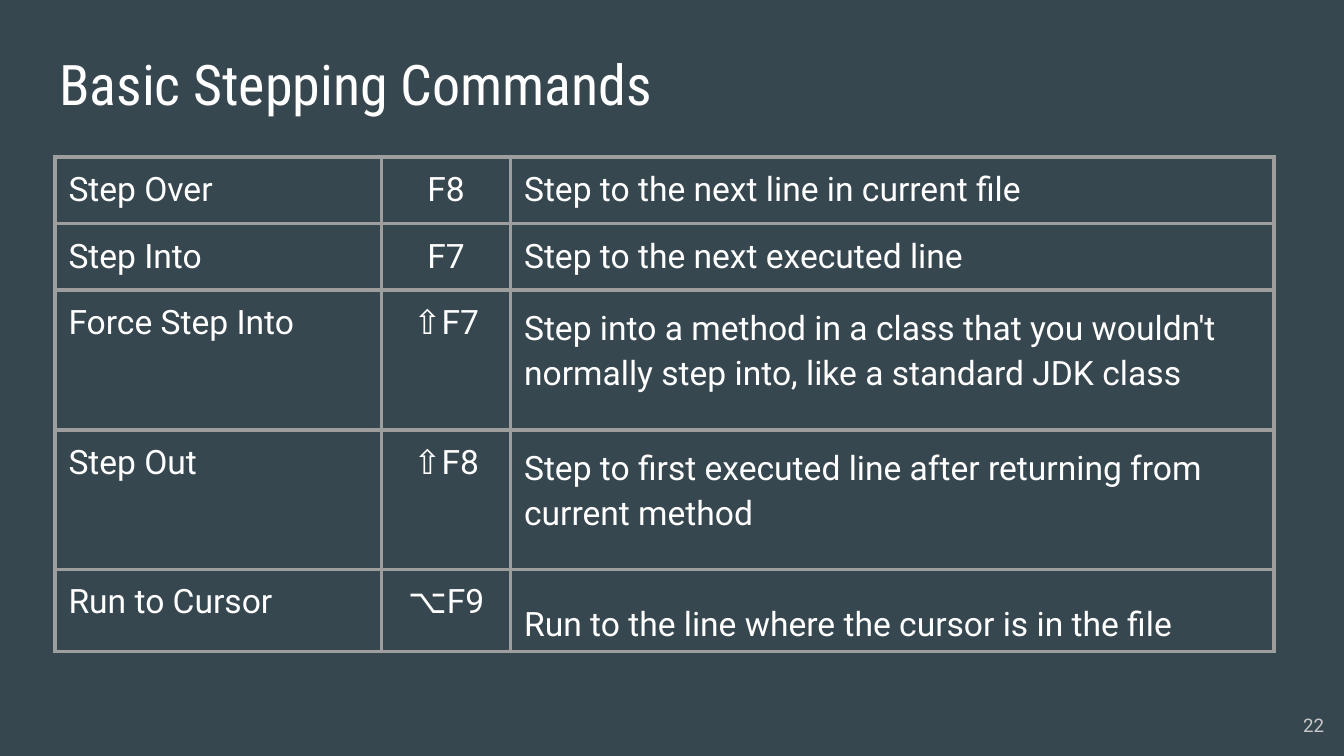
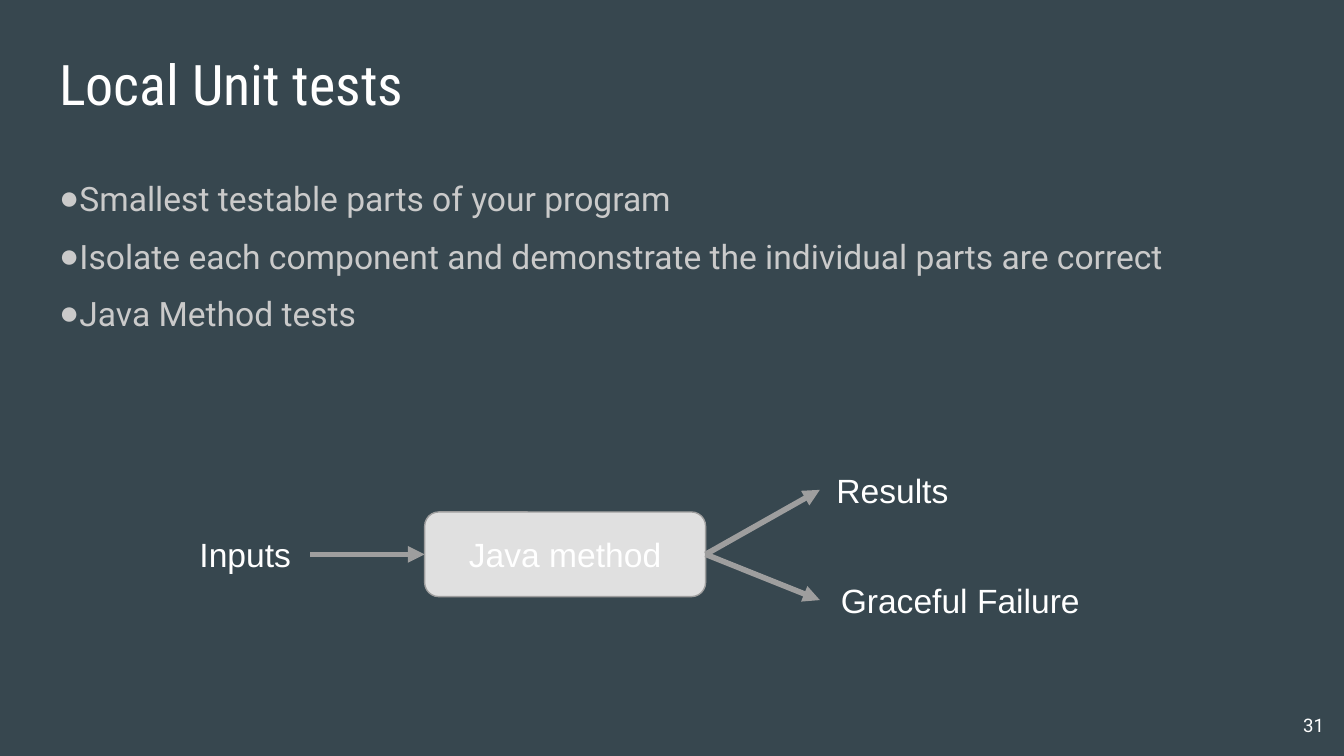
from dataclasses import dataclass
from typing import Optional

import pptx
import pptx.dml.color
import pptx.enum.shapes
import pptx.enum.text
import pptx.oxml
import pptx.oxml.ns
import pptx.util

RGBColor = pptx.dml.color.RGBColor
ALIGN = pptx.enum.text.PP_ALIGN
ANCHOR = pptx.enum.text.MSO_ANCHOR

SLATE = RGBColor(0x37, 0x47, 0x4F)
WHITE = RGBColor(0xFF, 0xFF, 0xFF)
SILVER = RGBColor(0xCA, 0xCA, 0xCA)
GREY = RGBColor(0x9E, 0x9E, 0x9E)
PALE = RGBColor(0xE0, 0xE0, 0xE0)

COLUMNS, ROWS = 100, 56.25
CELL = pptx.util.Inches(0.1)
LEFT_COLUMN = 3.4
LEFT_SITE, RIGHT_SITE = 1, 3


@dataclass(frozen=True)
class Box:
    column: float
    row: float
    columns: float
    rows: float

    def lengths(self) -> tuple:
        return tuple(grid(n) for n in (self.column, self.row, self.columns, self.rows))


@dataclass(frozen=True)
class TextStyle:
    font: str
    size: float
    color: RGBColor
    align: ALIGN = ALIGN.LEFT
    spacing: Optional[float] = None
    after: float = 0


@dataclass(frozen=True)
class Command:
    name: str
    key: str
    effect: str
    rows: float
    spacing: Optional[float] = None


TITLE = TextStyle("Roboto Condensed", 30, WHITE, spacing=1.15)
BULLET = TextStyle("Roboto", 18, SILVER, ALIGN.JUSTIFY, 1.15, 6)
LABEL = TextStyle("Arial", 18, WHITE, ALIGN.CENTER)

COMMAND_COLUMNS = (24.3, 9.6, 56.8)
COMMANDS = (
    Command("Step Over", "F8", "Step to the next line in current file", 4.8),
    Command("Step Into", "F7", "Step to the next executed line", 4.8),
    Command("Force Step Into", "⇧F7",
            "Step into a method in a class that you wouldn't normally step into, "
            "like a standard JDK class", 10.4, 1.15),
    Command("Step Out", "⇧F8",
            "Step to first executed line after returning from current method", 10.4, 1.15),
    Command("Run to Cursor", "⌥F9",
            "Run to the line where the cursor is in the file", 6, 1.57),
)
TEST_POINTS = (
    "Smallest testable parts of your program",
    "Isolate each component and demonstrate the individual parts are correct",
    "Java Method tests",
)


def grid(count: float) -> int:
    return round(CELL * count)


def place(shape, box: Box) -> None:
    shape.left, shape.top, shape.width, shape.height = box.lengths()


def format_paragraph(paragraph, style: TextStyle) -> None:
    paragraph.alignment = style.align
    paragraph.space_before = pptx.util.Pt(0)
    paragraph.space_after = pptx.util.Pt(style.after)
    if style.spacing:
        paragraph.line_spacing = style.spacing
    for run in paragraph.runs:
        run.font.name = style.font
        run.font.size = pptx.util.Pt(style.size)
        run.font.color.rgb = style.color


def write(shape, text: str, style: TextStyle, anchor: ANCHOR) -> None:
    frame = shape.text_frame
    frame.text = text
    frame.word_wrap = True
    frame.auto_size = pptx.enum.text.MSO_AUTO_SIZE.NONE
    frame.vertical_anchor = anchor
    frame.margin_left = frame.margin_right = CELL
    frame.margin_top = frame.margin_bottom = CELL
    for paragraph in frame.paragraphs:
        format_paragraph(paragraph, style)


def add_text(slide, box: Box, text: str, style: TextStyle):
    shape = slide.shapes.add_textbox(*box.lengths())
    write(shape, text, style, ANCHOR.MIDDLE)
    return shape


def add_slide(presentation, layout: int, title: str, title_columns: float,
              number: int, number_color: RGBColor):
    slide = presentation.slides.add_slide(presentation.slide_layouts[layout])
    place(slide.shapes.title, Box(LEFT_COLUMN, 1.9, title_columns, 6.3))
    write(slide.shapes.title, title, TITLE, ANCHOR.TOP)
    add_text(slide, Box(93.5, 51.8, 6, 4.3), str(number),
             TextStyle("Roboto", 10, number_color, ALIGN.RIGHT))
    return slide


def add_bullet(paragraph, color: RGBColor) -> None:
    properties = paragraph._p.get_or_add_pPr()
    properties.set("marL", "0")
    properties.set("indent", str(-grid(3.1)))
    namespace = pptx.oxml.ns.nsdecls("a")
    for xml in (f'<a:buClr {namespace}><a:srgbClr val="{color}"/></a:buClr>',
                f'<a:buChar {namespace} char="●"/>'):
        properties.append(pptx.oxml.parse_xml(xml))


def add_borders(cell, color: RGBColor, points: float) -> None:
    properties = cell._tc.get_or_add_tcPr()
    for side in "LRTB":
        properties.append(pptx.oxml.parse_xml(
            f'<a:ln{side} {pptx.oxml.ns.nsdecls("a")} w="{pptx.util.Pt(points)}">'
            f'<a:solidFill><a:srgbClr val="{color}"/></a:solidFill></a:ln{side}>'))


def add_command_table(slide) -> None:
    box = Box(4.1, 11.7, sum(COMMAND_COLUMNS), sum(c.rows for c in COMMANDS))
    table = slide.shapes.add_table(
        len(COMMANDS), len(COMMAND_COLUMNS), *box.lengths()).table
    table.first_row = table.horz_banding = False
    for column, columns in zip(table.columns, COMMAND_COLUMNS):
        column.width = grid(columns)
    for row, command in zip(table.rows, COMMANDS):
        row.height = grid(command.rows)
        contents = (
            (command.name, ALIGN.LEFT, None),
            (command.key, ALIGN.CENTER, None),
            (command.effect, ALIGN.LEFT, command.spacing),
        )
        for cell, (text, align, spacing) in zip(row.cells, contents):
            cell.text_frame.text = text
            cell.margin_left = cell.margin_right = cell.margin_top = CELL
            cell.margin_bottom = grid(0.5) if spacing else CELL
            format_paragraph(cell.text_frame.paragraphs[0],
                             TextStyle("Roboto", 18, WHITE, align, spacing))
            add_borders(cell, GREY, 2.25)
            cell.fill.background()


def add_arrow(slide, source, target) -> None:
    connector = slide.shapes.add_connector(
        pptx.enum.shapes.MSO_CONNECTOR.STRAIGHT, 0, 0, 0, 0)
    connector.begin_connect(source, RIGHT_SITE)
    connector.end_connect(target, LEFT_SITE)
    connector.line.color.rgb = GREY
    connector.line.width = pptx.util.Pt(3)
    namespace = pptx.oxml.ns.nsdecls("a")
    connector.line._get_or_add_ln().append(
        pptx.oxml.parse_xml(f'<a:tailEnd {namespace} type="triangle"/>'))
    connector._element.spPr.append(pptx.oxml.parse_xml(f"<a:effectLst {namespace}/>"))


def add_test_flow(slide) -> None:
    method = slide.shapes.add_shape(
        pptx.enum.shapes.MSO_SHAPE.ROUNDED_RECTANGLE, *Box(31.6, 38.1, 20.9, 6.3).lengths())
    method.shadow.inherit = False
    method.fill.solid()
    method.fill.fore_color.rgb = PALE
    method.line.color.rgb = GREY
    method.line.width = pptx.util.Pt(0.75)
    write(method, "Java method", LABEL, ANCHOR.MIDDLE)
    inputs = add_text(slide, Box(13.4, 38.1, 9.7, 6.3), "Inputs", LABEL)
    results = add_text(slide, Box(61, 33.3, 10.8, 6.3), "Results", LABEL)
    failure = add_text(slide, Box(61, 41.5, 20.9, 6.3), "Graceful Failure", LABEL)
    for source, target in ((inputs, method), (method, results), (method, failure)):
        add_arrow(slide, source, target)


def build_stepping_slide(presentation) -> None:
    slide = add_slide(presentation, 5, "Basic Stepping Commands", 94.7, 22, SILVER)
    add_command_table(slide)


def build_unit_test_slide(presentation) -> None:
    slide = add_slide(presentation, 1, "Local Unit tests", 93.2, 31, WHITE)
    body = slide.placeholders[1]
    place(body, Box(LEFT_COLUMN, 11.8, 93.2, 37.4))
    write(body, "\n".join(TEST_POINTS), BULLET, ANCHOR.TOP)
    for paragraph in body.text_frame.paragraphs:
        add_bullet(paragraph, SILVER)
    add_test_flow(slide)


def main() -> None:
    presentation = pptx.Presentation()
    presentation.slide_width = grid(COLUMNS)
    presentation.slide_height = grid(ROWS)
    background = presentation.slide_master.background.fill
    background.solid()
    background.fore_color.rgb = SLATE
    build_stepping_slide(presentation)
    build_unit_test_slide(presentation)
    presentation.save("out.pptx")


if __name__ == "__main__":
    main()
